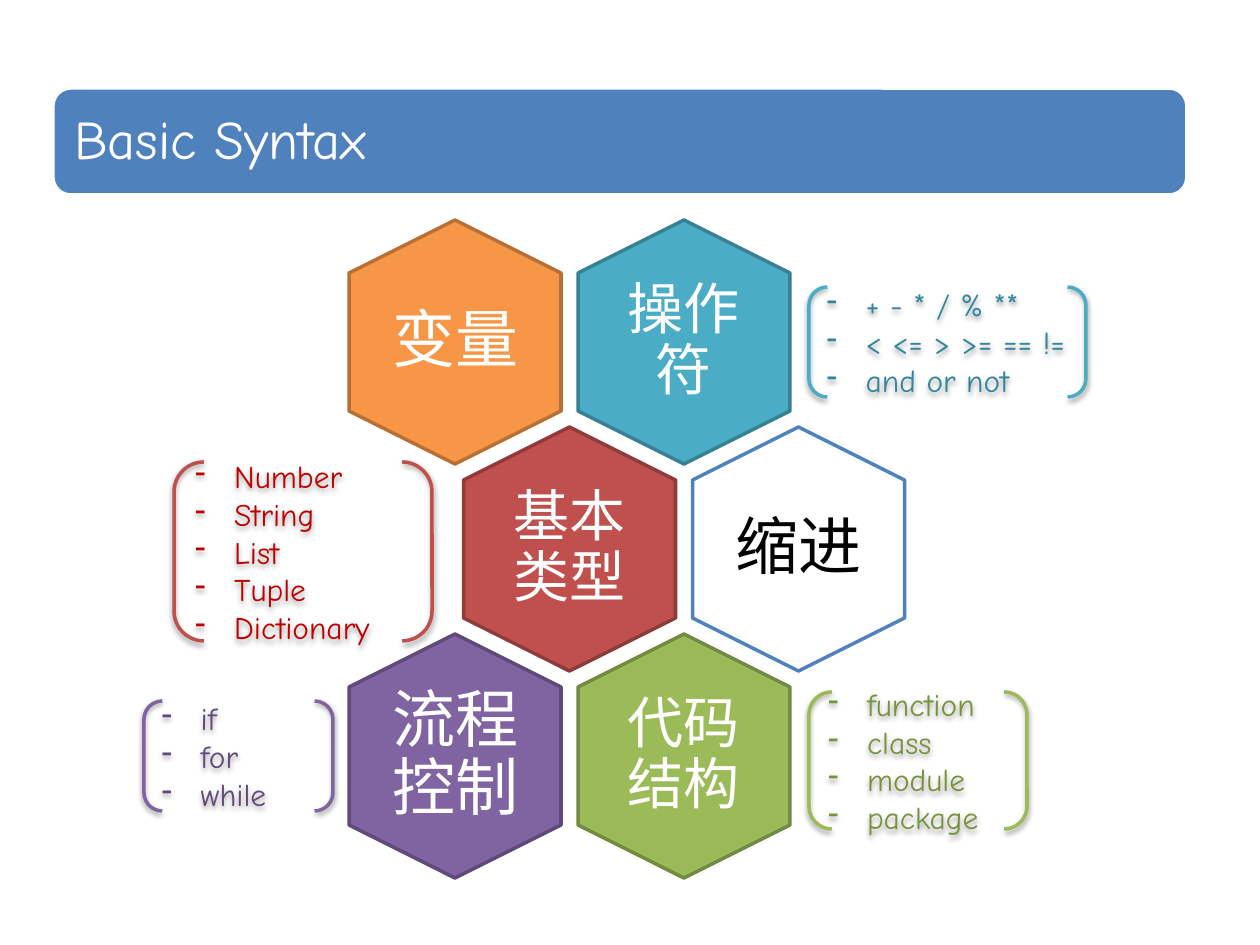
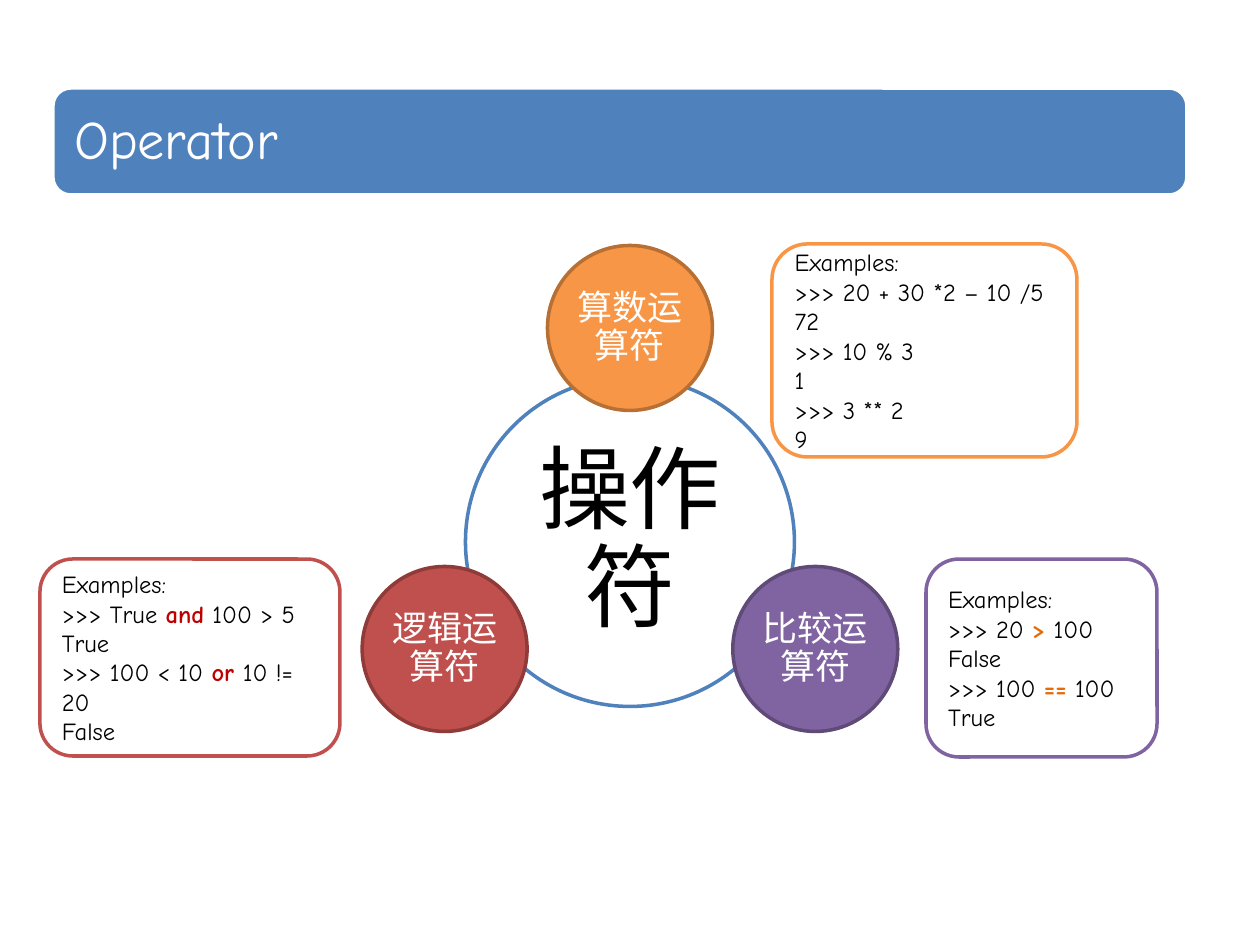
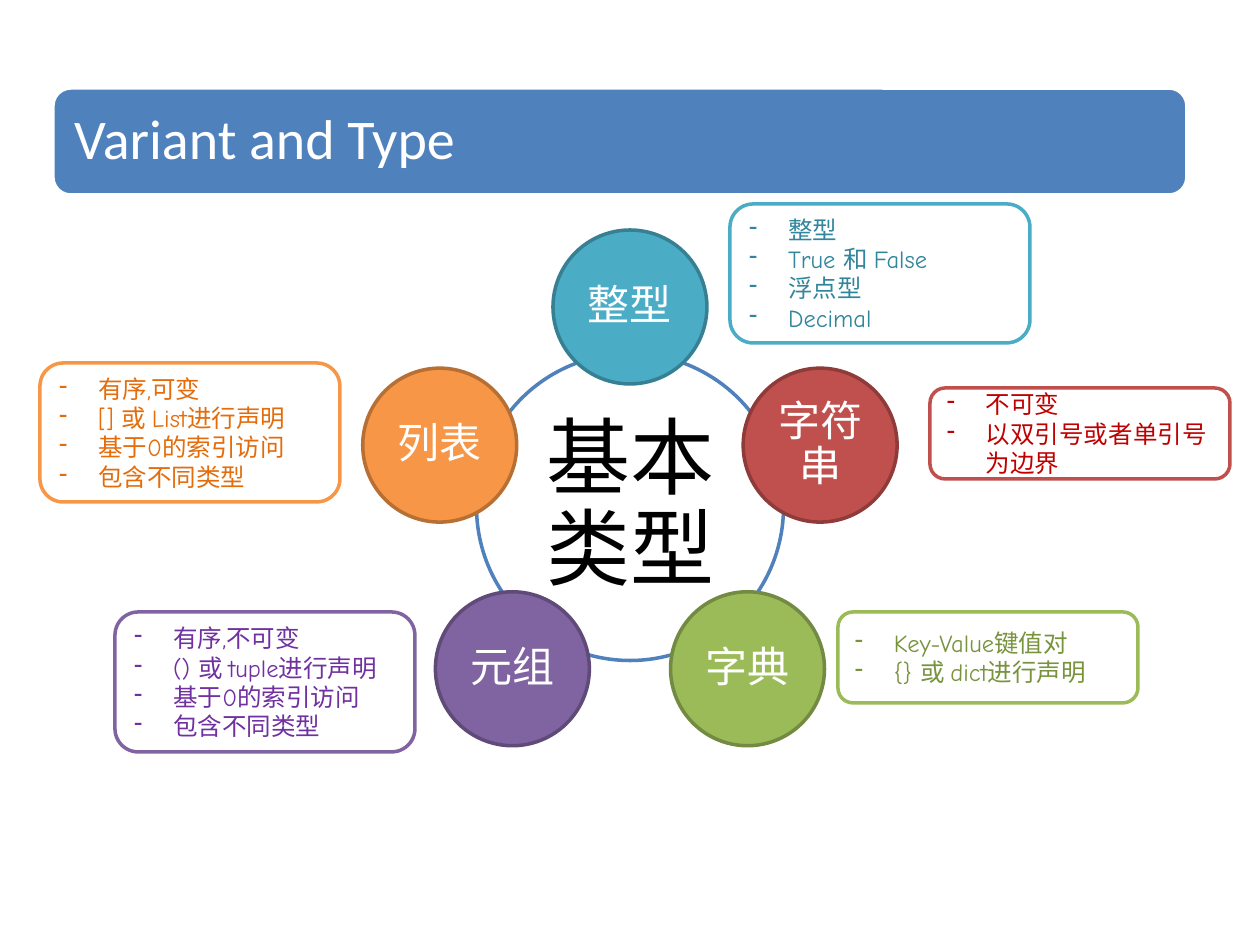
import math

from lxml import etree
from pptx import Presentation
from pptx import util as u
from pptx.dml.color import RGBColor
from pptx.enum import shapes, text
from pptx.oxml import ns

HUES = {
    "blue": "4F81BD",
    "white": "FFFFFF", "white edge": "4F81BD",
    "black": "000000",
    "aqua": "4BACC6", "aqua edge": "377F92", "aqua ink": "31859C",
    "orange": "F79646", "orange edge": "B76F34", "orange ink": "E46C0A",
    "red": "C0504D", "red edge": "8E3B39", "red ink": "C00000",
    "green": "9BBB59", "green edge": "738A42", "green ink": "77933C",
    "purple": "8064A2", "purple edge": "5F4A78", "purple ink": "604A7B",
    "violet": "7030A0",
}
HAND, PLAIN = "Comic Neue", "Calibri"
WIDE, HIGH = 1260, 945
KIND = shapes.MSO_SHAPE
LEFT, MID = text.PP_ALIGN.LEFT, text.PP_ALIGN.CENTER


def px(size):
    return u.Emu(round(size * 914400 / 126))


def rgb(hue):
    return RGBColor.from_string(HUES[hue])


def add(slide, kind, box, fill, edge):
    form = slide.shapes.add_shape(kind, *map(px, box))
    form.shadow.inherit = False
    if fill:
        form.fill.solid()
        form.fill.fore_color.rgb = rgb(fill)
    else:
        form.fill.background()
    form.line.color.rgb = rgb(edge)
    form.line.width = u.Pt(2)
    return form


def dash(para):
    """Give the paragraph a hanging dash bullet."""
    props = para._p.get_or_add_pPr()
    props.set("marL", str(px(39)))
    props.set("indent", str(-px(39)))
    etree.SubElement(props, ns.qn("a:buFontTx"))
    etree.SubElement(props, ns.qn("a:buChar")).set("char", "-")


def write(form, lines, size, font, hue, align=LEFT, inset=None,
          space=None, dashed=False, mark=None):
    """Fill the form with lines; a line is a string or (before, marked, after)."""
    frame = form.text_frame
    frame.word_wrap = True
    frame.vertical_anchor = text.MSO_ANCHOR.MIDDLE
    if inset is not None:
        frame.margin_left = frame.margin_right = px(inset)
        frame.margin_top = frame.margin_bottom = px(inset)
    for i, line in enumerate(lines):
        para = frame.add_paragraph() if i else frame.paragraphs[0]
        if dashed:
            dash(para)
        para.alignment = align
        para.line_spacing = space
        para.font.size = u.Pt(size)
        para.font.name = font
        para.font.color.rgb = rgb(hue)
        parts = (line,) if isinstance(line, str) else line
        for j, part in enumerate(parts):
            run = para.add_run()
            run.text = part
            if j == 1:
                run.font.bold = True
                run.font.color.rgb = rgb(mark)


def start(deck, title, size, font):
    """Add a slide with its title band."""
    slide = deck.slides.add_slide(deck.slide_layouts[6])
    band = add(slide, KIND.ROUNDED_RECTANGLE, (53, 88, 1134, 107), "blue", "white")
    write(band, [title], size, font, "white", inset=16, space=0.9)
    return slide


def hexes(slide, left, top, cells):
    """Place hexagons in a honeycomb; odd rows shift by half a step."""
    wide, high, step, drop = 212, 244, 229, 207
    for row, col, label, size, inset, hue in cells:
        midx = left + wide / 2 + step * (col + row % 2 / 2)
        midy = top + high / 2 + drop * row
        cell = add(slide, KIND.HEXAGON,
                   (midx - high / 2, midy - wide / 2, high, wide), hue, hue + " edge")
        cell.rotation = 90
        note = slide.shapes.add_textbox(*map(px, (midx - 73, midy - 84, 146, 168)))
        ink = "black" if hue == "white" else "white"
        write(note, [label], size, PLAIN, ink, MID, inset, 0.9)


def bracket(slide, box, hue, lines):
    form = add(slide, KIND.DOUBLE_BRACKET, box, None, hue)
    effects = form._element.spPr.find(ns.qn("a:effectLst"))
    shade = etree.SubElement(effects, ns.qn("a:outerShdw"), blurRad="40000",
                             dist="20000", dir="5400000", rotWithShape="0")
    tone = etree.SubElement(shade, ns.qn("a:srgbClr"), val=HUES["black"])
    etree.SubElement(tone, ns.qn("a:alpha"), val="38000")
    write(form, lines, 18, HAND, hue + " ink", dashed=True)


def disc(slide, midx, midy, across, hue, label, size, ink, inset):
    box = (midx - across / 2, midy - across / 2, across, across)
    form = add(slide, KIND.OVAL, box, hue, hue + " edge")
    write(form, [label], size, PLAIN, ink, MID, inset, 0.9)


def wheel(slide, midy, hub, node, orbit, core, nodes):
    """Set nodes clockwise from the top around a hub; core and nodes give text."""
    midx = WIDE / 2
    disc(slide, midx, midy, hub, "white", *core, "black", 9)
    size, spokes = nodes
    for i, (label, hue) in enumerate(spokes):
        turn = math.tau * i / len(spokes)
        disc(slide, midx + orbit * math.sin(turn), midy - orbit * math.cos(turn),
             node, hue, label, size, "white", 4)


def callout(slide, box, hue, lines, ink="black", **style):
    form = add(slide, KIND.ROUNDED_RECTANGLE, box, "white", hue)
    write(form, lines, 14, HAND, ink, **style)


def syntax(deck):
    slide = start(deck, "Basic Syntax", 31, HAND)
    hexes(slide, 349, 220, [
        (0, 1, "操作符", 32, 16, "aqua"),
        (0, 0, "变量", 36, 0, "orange"),
        (1, 0, "基本类型", 32, 16, "red"),
        (1, 1, "缩进", 36, 0, "white"),
        (2, 1, "代码结构", 32, 16, "green"),
        (2, 0, "流程控制", 36, 0, "purple"),
    ])
    bracket(slide, (174, 462, 258, 179), "red",
            ["Number", "String", "List", "Tuple", "Dictionary"])
    bracket(slide, (809, 287, 277, 110), "aqua",
            ["+ - * / % **", "< <= > >= == !=", "and or not"])
    bracket(slide, (144, 701, 189, 110), "purple", ["if", "for", "while"])
    bracket(slide, (809, 692, 218, 137), "green",
            ["function", "class", "module", "package"])


def operators(deck):
    slide = start(deck, "Operator", 31, HAND)
    wheel(slide, 542, 329, 165, 214, ("操作符", 52), (20, [
        ("算数运算符", "orange"), ("比较运算符", "purple"), ("逻辑运算符", "red")]))
    callout(slide, (772, 244, 305, 213), "orange", [
        "Examples:", ">>> 20 + 30 *2 – 10 /5", "72", ">>> 10 % 3", "1",
        ">>> 3 ** 2", "9"])
    callout(slide, (926, 559, 231, 198), "purple", [
        "Examples:", (">>> 20 ", ">", " 100"), "False",
        (">>> 100 ", "==", " 100"), "True"], mark="orange ink")
    callout(slide, (40, 559, 300, 197), "red", [
        "Examples:", (">>> True ", "and", " 100 > 5"), "True",
        (">>> 100 < 10 ", "or ", "10 != 20"), "False"], mark="red ink")


def types(deck):
    slide = start(deck, "Variant and Type", 32, PLAIN)
    wheel(slide, 507, 307, 154, 200, ("基本类型", 48), (24, [
        ("整型", "aqua"), ("字符串", "red"), ("字典", "green"),
        ("元组", "purple"), ("列表", "orange")]))
    common = ["基于0的索引访问", "包含不同类型"]
    for left, top, high, hue, ink, lines in [
        (40, 363, 139, "orange", "orange ink",
         ["有序,可变", "[] 或 List进行声明", *common]),
        (115, 612, 140, "purple", "violet",
         ["有序,不可变", "() 或 tuple进行声明", *common]),
        (838, 612, 91, "green", "green ink",
         ["Key-Value键值对", "{} 或 dict进行声明"]),
        (930, 388, 91, "red", "red ink",
         ["不可变", "以双引号或者单引号为边界"]),
        (730, 204, 139, "aqua", "aqua ink",
         ["整型", "True 和 False", "浮点型", "Decimal"]),
    ]:
        callout(slide, (left, top, 300, high), hue, lines, ink, dashed=True)


def main():
    deck = Presentation()
    deck.slide_width, deck.slide_height = px(WIDE), px(HIGH)
    syntax(deck)
    operators(deck)
    types(deck)
    deck.save("out.pptx")


if __name__ == "__main__":
    main()
